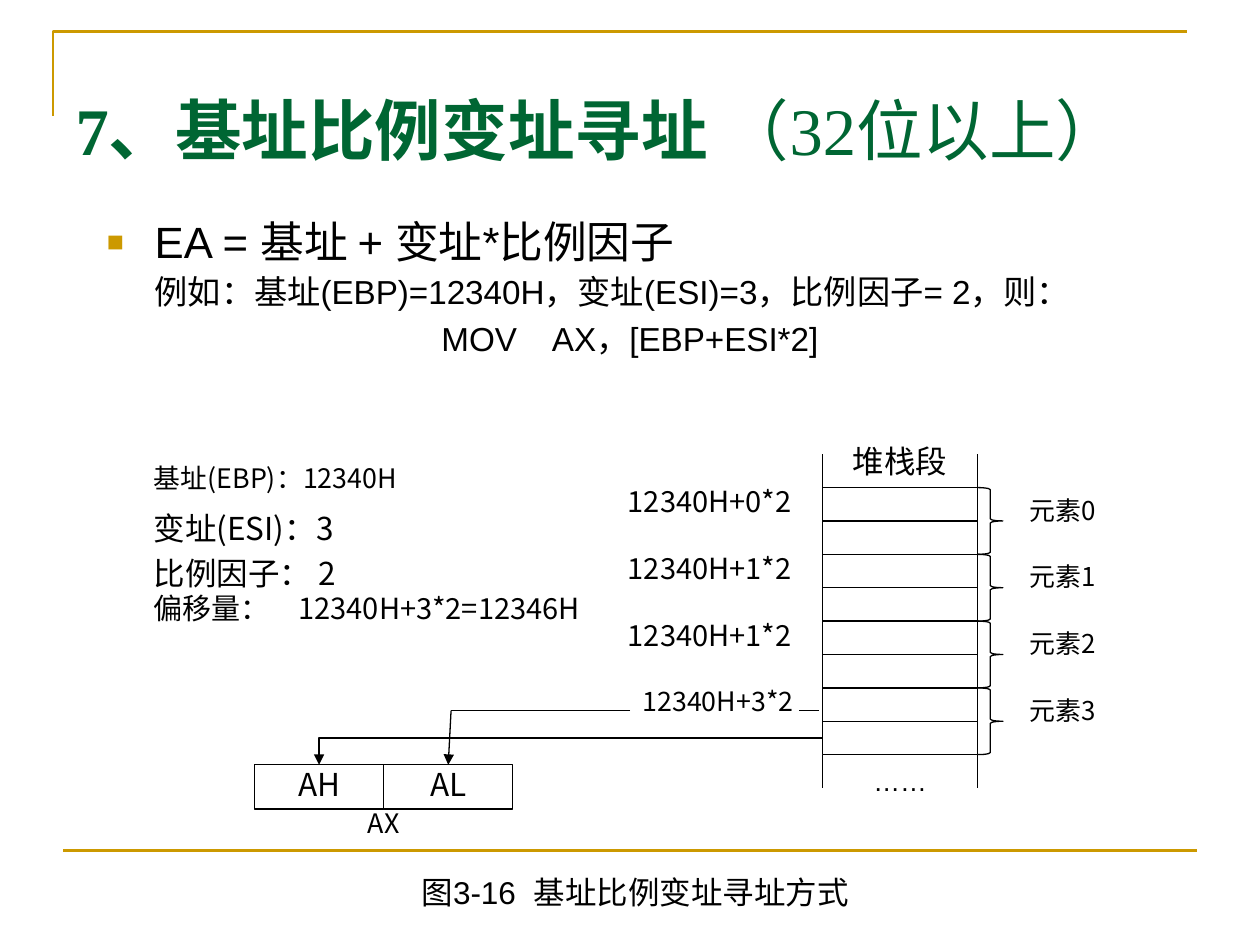
from lxml import etree
from pptx import Presentation
from pptx import util as u
from pptx.dml.color import RGBColor
from pptx.enum import shapes, text
from pptx.oxml.ns import qn

BLACK = RGBColor(0x00, 0x00, 0x00)
GREEN = RGBColor(0x00, 0x66, 0x33)
GOLD = RGBColor(0xCC, 0x99, 0x00)
SANS, SERIF, CJK = "Arial", "Times New Roman", "Noto Sans CJK SC"
LEFT, CENTER, RIGHT = text.PP_ALIGN.LEFT, text.PP_ALIGN.CENTER, text.PP_ALIGN.RIGHT

UNIT = u.Inches(0.1)  # grid of 100 columns by 75 rows


def grid(*lengths):
    return [u.Emu(round(length * UNIT)) for length in lengths]


class Board:
    """Holds the style and the slide that is being drawn."""

    def __init__(self, slide, line_width=0.75):
        self.slide = slide
        self.shapes = slide.shapes
        self.line_width = line_width

    def outline(self, item, color=BLACK, width=None):
        item.line.color.rgb = color
        item.line.width = u.Pt(width or self.line_width)

    def run(self, paragraph, words, size, font=CJK, color=BLACK, bold=False):
        run = paragraph.add_run()
        run.text = words
        run.font.size, run.font.name, run.font.bold = u.Pt(size), font, bold
        run.font.color.rgb = color
        etree.SubElement(run._r.get_or_add_rPr(), qn("a:ea"), typeface=CJK)

    def frame(self, shape, insets=(0, 0, 0, 0), anchor=text.MSO_ANCHOR.TOP):
        frame = shape.text_frame
        frame.word_wrap = True
        frame.auto_size = text.MSO_AUTO_SIZE.NONE
        frame.vertical_anchor = anchor
        (frame.margin_left, frame.margin_top,
         frame.margin_right, frame.margin_bottom) = grid(*insets)
        return frame

    def title(self, box, runs):
        shape = self.shapes.title
        shape.left, shape.top, shape.width, shape.height = grid(*box)
        frame = self.frame(shape, (1, 0.5, 1, 0.5), text.MSO_ANCHOR.MIDDLE)
        paragraph = frame.paragraphs[0]
        paragraph.alignment = LEFT
        for words, bold in runs:
            self.run(paragraph, words, 38, SERIF, GREEN, bold)

    def text(self, box, words, size, align=LEFT, spacing=0.9, font=CJK,
             insets=(0, 0, 0, 0), tab=None):
        shape = self.shapes.add_textbox(*grid(*box))
        paragraph = self.frame(shape, insets).paragraphs[0]
        if tab:
            tabs = etree.SubElement(paragraph._p.get_or_add_pPr(), qn("a:tabLst"))
            etree.SubElement(tabs, qn("a:tab"), pos=str(grid(tab)[0]), algn="l")
        paragraph.alignment, paragraph.line_spacing = align, spacing
        self.run(paragraph, words, size, font)

    def body(self, box, items, indent=3.8):
        shape = self.shapes.add_textbox(*grid(*box))
        frame = self.frame(shape, (1, 0.5, 1, 0.5))
        for index, (words, size, align, before, bullet) in enumerate(items):
            paragraph = frame.add_paragraph() if index else frame.paragraphs[0]
            properties = paragraph._p.get_or_add_pPr()
            margin = grid(indent)[0]
            if align == LEFT:
                properties.set("marL", str(margin))
            if bullet:
                properties.set("indent", str(-margin))
                color = etree.SubElement(properties, qn("a:buClr"))
                etree.SubElement(color, qn("a:srgbClr"), val=str(GOLD))
                etree.SubElement(properties, qn("a:buSzPct"), val="65000")
                etree.SubElement(properties, qn("a:buFont"), typeface=SANS)
                etree.SubElement(properties, qn("a:buChar"), char=bullet)
            paragraph.alignment, paragraph.line_spacing = align, 0.9
            paragraph.space_before = u.Pt(before)
            self.run(paragraph, words, size, SANS)

    def preset(self, kind, box, words=None):
        shape = self.shapes.add_shape(kind, *grid(*box))
        shape.shadow.inherit = False
        shape.fill.background()
        self.outline(shape)
        if words:
            paragraph = self.frame(shape).paragraphs[0]
            paragraph.alignment = CENTER
            self.run(paragraph, words, 18)
        return shape

    def path_line(self, points, color, width):
        start, *rest = [grid(*point) for point in points]
        builder = self.shapes.build_freeform(*start)
        builder.add_line_segments(rest, close=False)
        shape = builder.convert_to_shape()
        shape.shadow.inherit = False
        shape.fill.background()
        self.outline(shape, color, width)

    def line(self, start, end, color=BLACK, width=None, arrow=False, bent=False,
             begin_at=None, end_at=None):
        kind = shapes.MSO_CONNECTOR.ELBOW if bent else shapes.MSO_CONNECTOR.STRAIGHT
        line = self.shapes.add_connector(kind, *grid(*start, *end))
        self.outline(line, color, width)
        properties = line._element.spPr
        if bent:  # a single corner
            properties.find(qn("a:prstGeom")).set("prst", "bentConnector2")
        if arrow:
            etree.SubElement(properties.find(qn("a:ln")), qn("a:tailEnd"), type="triangle")
        etree.SubElement(properties, qn("a:effectLst"))
        if begin_at:
            line.begin_connect(*begin_at)
        if end_at:
            line.end_connect(*end_at)


def main():
    presentation = Presentation()
    presentation.slide_width, presentation.slide_height = grid(100, 75)
    board = Board(presentation.slides.add_slide(presentation.slide_layouts[5]))

    # Gold rules, title and body
    board.path_line([(4.2, 9.2), (4.2, 2.5), (94.2, 2.5)], GOLD, 1.5)
    board.line((5, 67.5), (95, 67.5), GOLD, 1.5)
    board.title((5, 5.9, 90, 8.7), [("7、基址比例变址寻址", True), (" （32位以上）", False)])
    board.body((7.5, 17, 85, 16.5), [
        ("EA = 基址 + 变址*比例因子", 25, LEFT, 0, "■"),
        ("例如：基址(EBP)=12340H，变址(ESI)=3，比例因子= 2，则：", 19, LEFT, 4.8, None),
        ("MOV    AX，[EBP+ESI*2]", 19, CENTER, 6.2, None),
    ])

    # Stack segment: eight cells between two open walls
    left, top, width, row = 65.3, 38.7, 12.3, 2.65
    right, bottom = left + width, top + 8 * row
    cells = [board.preset(shapes.MSO_SHAPE.RECTANGLE, (left, top + i * row, width, row))
             for i in range(8)]
    for x in (left, right):
        for y in (top - row, bottom):
            board.line((x, y), (x, y + row))
    board.text((left, 35.1, width, 3.5), "堆栈段", 18, CENTER, 1)
    board.text((left, 60.7, width, 2.7), "……", 15.3, CENTER, 1, SANS)

    # Elements: two cells each, with brace, name and address
    for i, factor in enumerate((0, 1, 1, 3)):
        y = top + 2 * i * row
        board.preset(shapes.MSO_SHAPE.RIGHT_BRACE, (right, y, 2, 2 * row))
        board.text((81.7, y + 0.8, 6.1, 3.5), f"元素{i}", 14.8)
        last = i == 3
        board.text((48.9, y, 14.5 if last else 14.3, 3.5), f"12340H+{factor}*2",
                   15.3 if last else 16.6, RIGHT, insets=(0, 0, 0.4, 0))

    # Register values
    board.text((12.2, 36.9, 22.5, 3.5), "基址(EBP)：12340H", 15.3)
    board.text((12.2, 40.4, 16.4, 3.5), "变址(ESI)：3", 18, spacing=1)
    board.text((12.2, 44, 18.1, 3.5), "比例因子： 2", 18, spacing=1)
    board.text((12.2, 47.2, 37, 3), "偏移量：\t12340H+3*2=12346H", 16.6, tab=11.5)

    # AX register and the two bytes loaded into it
    high, low = [board.preset(shapes.MSO_SHAPE.RECTANGLE, (20.2 + 10.25 * i, 60.7, 10.25, 3.5), name)
                 for i, name in enumerate(("AH", "AL"))]
    board.text((28.4, 64.3, 4.1, 2.7), "AX", 15.3, CENTER)
    board.line((left, 58.5), (25.3, 60.7), arrow=True, bent=True,
               begin_at=(cells[7], 1), end_at=(high, 0))
    board.line((65, 56.4), (63.4, 56.4))
    board.line((50, 56.4), (35.8, 56.4))
    board.line((35.8, 56.4), (35.8, 60.7), arrow=True, end_at=(low, 0))

    # Caption
    board.text((18, 68.8, 64.8, 4), "图3-16  基址比例变址寻址方式", 18, CENTER, 1, SANS,
               (1, 0.5, 1, 0.5))

    presentation.save("out.pptx")


if __name__ == "__main__":
    main()
